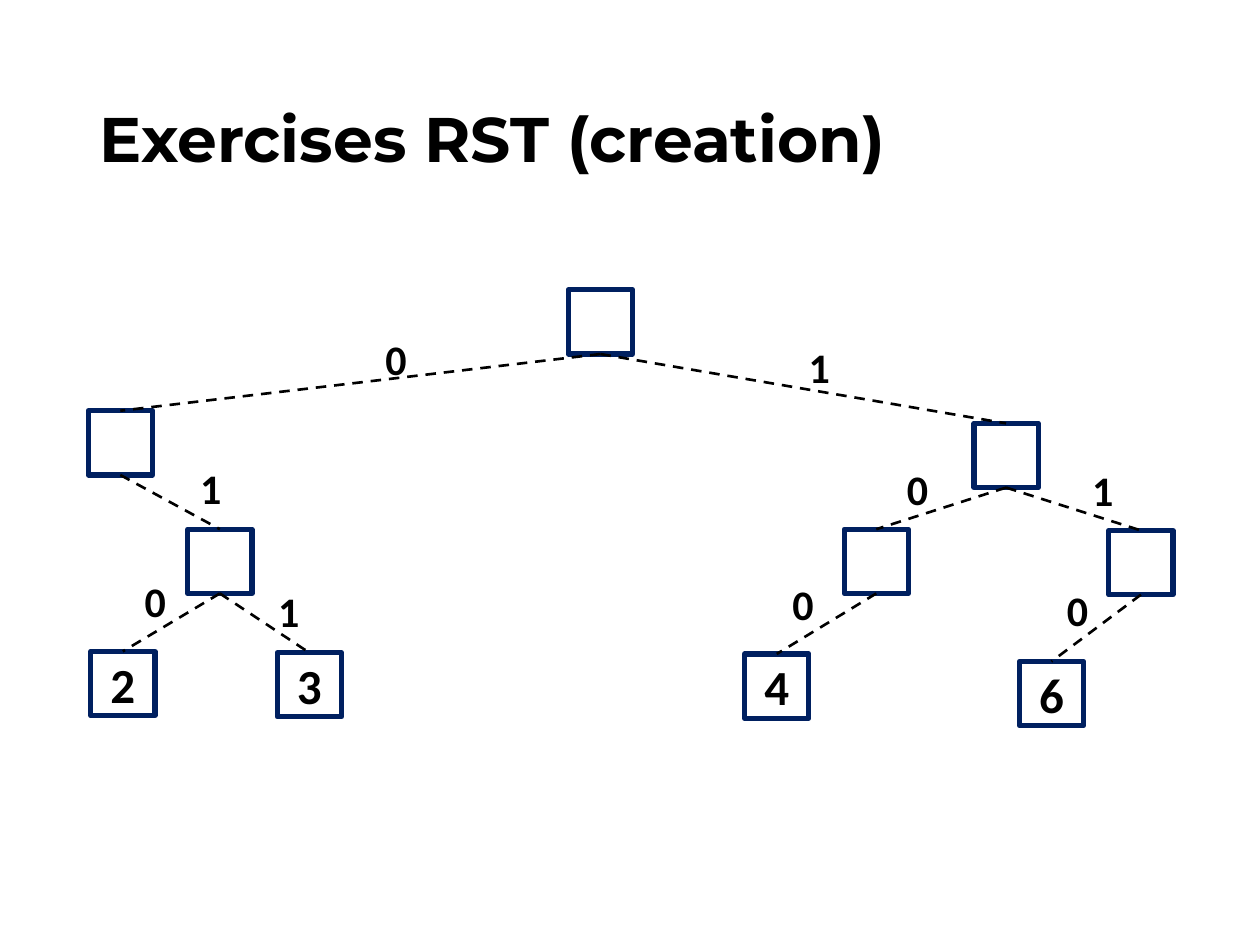
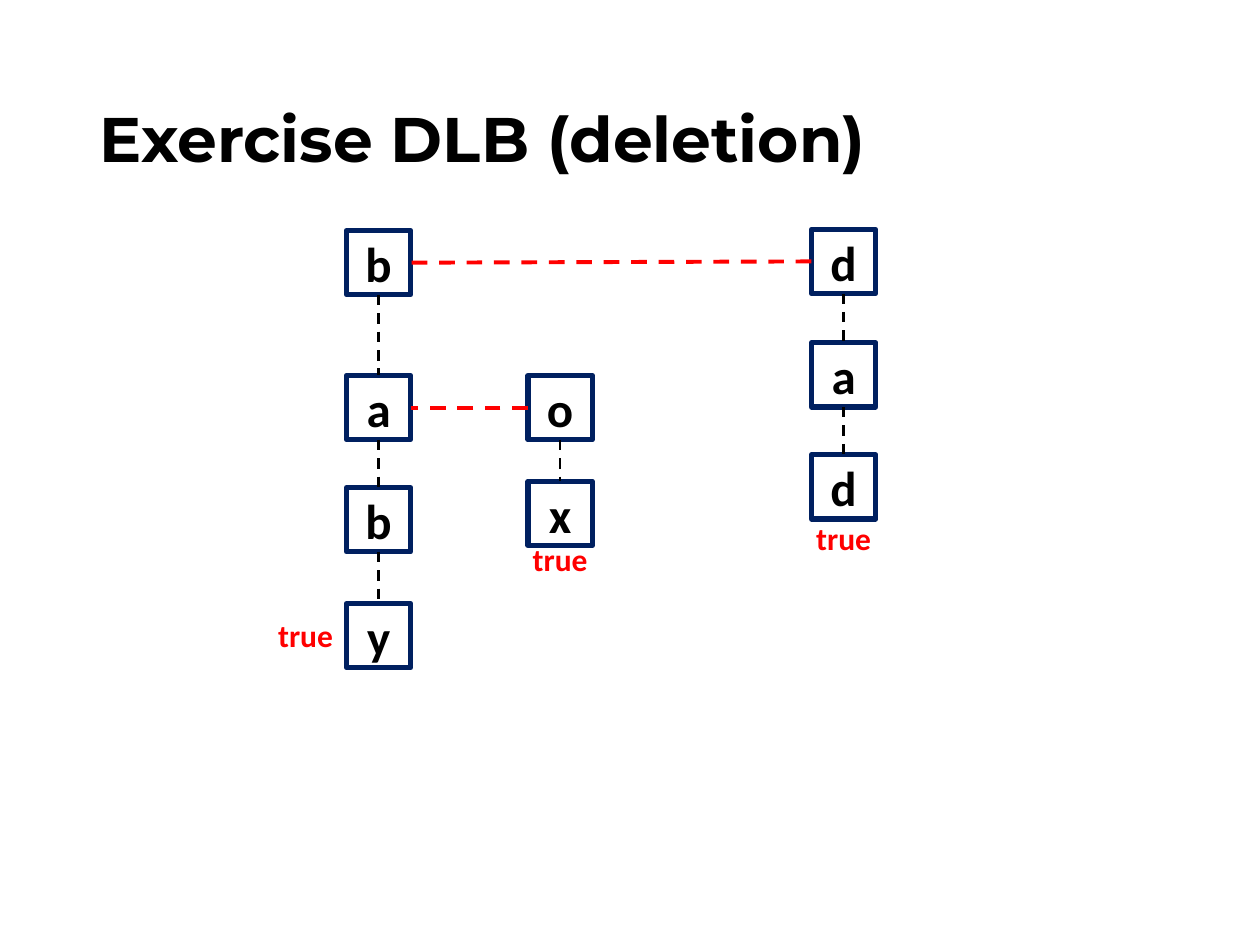
from lxml import etree
from pptx import Presentation
from pptx import util as u
from pptx.dml.color import RGBColor
from pptx.enum import dml, shapes, text
from pptx.oxml.ns import qn


class Theme:
    black = RGBColor(0x00, 0x00, 0x00)
    navy = RGBColor(0x00, 0x20, 0x60)
    red = RGBColor(0xFF, 0x00, 0x00)
    node_size = 0.51
    node_border = u.Pt(3)
    # Text styles: size, typeface, colour
    title = (36, "Montserrat", black)
    key = (28, "Calibri", black)
    bit = (24, "Calibri", black)
    flag = (18, "Calibri", red)
    # Edge styles: colour, width
    child = (black, u.Pt(1.5))
    sibling = (red, u.Pt(2.25))


FRAMES = {
    "title": {"word_wrap": True, "vertical_anchor": text.MSO_ANCHOR.MIDDLE},
    "node": {"word_wrap": True, "vertical_anchor": text.MSO_ANCHOR.MIDDLE},
    "label": {"word_wrap": False, "auto_size": text.MSO_AUTO_SIZE.SHAPE_TO_FIT_TEXT},
}
# Connection sites of a rectangle
TOP, LEFT, BOTTOM, RIGHT = range(4)


def write(shape, words, style, frame, **paragraph_format):
    for name, value in FRAMES[frame].items():
        setattr(shape.text_frame, name, value)
    paragraph = shape.text_frame.paragraphs[0]
    for name, value in paragraph_format.items():
        setattr(paragraph, name, value)
    run = paragraph.add_run()
    run.text = words
    size, typeface, colour = style
    for name, value in {"size": u.Pt(size), "name": typeface, "bold": True}.items():
        setattr(run.font, name, value)
    run.font.color.rgb = colour


def join(slide, start, start_site, end, end_site, style):
    edge = slide.shapes.add_connector(shapes.MSO_CONNECTOR.STRAIGHT, 0, 0, 0, 0)
    edge.begin_connect(start, start_site)
    edge.end_connect(end, end_site)
    edge.line.color.rgb, edge.line.width = style
    edge.line.dash_style = dml.MSO_LINE.DASH
    etree.SubElement(edge._element.spPr, qn("a:effectLst"))


# Radix search tree: nodes are named by their bit prefix, (left, top, key)
radix_tree = {
    "title": "Exercises RST (creation)",
    "nodes": {
        "root": (4.51, 2.3, ""),
        "0": (0.7, 3.26, ""),
        "1": (7.73, 3.36, ""),
        "01": (1.49, 4.2, ""),
        "10": (6.7, 4.2, ""),
        "11": (8.8, 4.21, ""),
        "010": (0.72, 5.17, "2"),
        "011": (2.2, 5.18, "3"),
        "100": (5.91, 5.19, "4"),
        "110": (8.09, 5.25, "6"),
    },
    "children": [("root", "0"), ("root", "1"), ("0", "01"), ("1", "10"), ("1", "11"),
                 ("01", "010"), ("01", "011"), ("10", "100"), ("11", "110")],
    "siblings": [],
    "label_style": Theme.bit,
    "label_size": (0.37, 0.5),
    "labels": [(2.96, 2.6, "0"), (6.32, 2.66, "1"), (1.49, 3.62, "1"),
               (7.1, 3.63, "0"), (8.57, 3.64, "1"), (1.05, 4.52, "0"),
               (2.11, 4.6, "1"), (6.19, 4.54, "0"), (8.37, 4.59, "0")],
}

# De la Briandais trie: nodes are named by the word prefix they end
baby_left, box_left, dad_left = 2.75, 4.19, 6.44
dlb_trie = {
    "title": "Exercise DLB (deletion)",
    "nodes": {
        "b": (baby_left, 1.83, "b"),
        "ba": (baby_left, 2.98, "a"),
        "bab": (baby_left, 3.87, "b"),
        "baby": (baby_left, 4.79, "y"),
        "bo": (box_left, 2.98, "o"),
        "box": (box_left, 3.82, "x"),
        "d": (dad_left, 1.82, "d"),
        "da": (dad_left, 2.72, "a"),
        "dad": (dad_left, 3.61, "d"),
    },
    "children": [("b", "ba"), ("ba", "bab"), ("bab", "baby"), ("bo", "box"),
                 ("d", "da"), ("da", "dad")],
    "siblings": [("b", "d"), ("ba", "bo")],
    "label_style": Theme.flag,
    "label_size": (0.64, 0.4),
    "labels": [(box_left - 0.06, 4.24, "true"), (baby_left - 0.64, 4.84, "true"),
               (dad_left - 0.06, 4.07, "true")],
}

deck = Presentation()
deck.slide_width, deck.slide_height = u.Inches(10), u.Inches(7.5)

for tree in (radix_tree, dlb_trie):
    slide = deck.slides.add_slide(deck.slide_layouts[6])

    # Title
    heading = slide.shapes.add_textbox(*map(u.Inches, (0.69, 0.4, 8.62, 1.45)))
    write(heading, tree["title"], Theme.title, "title", line_spacing=0.9)

    # Nodes
    nodes = {}
    for prefix, (left, top, key) in tree["nodes"].items():
        node = slide.shapes.add_shape(
            shapes.MSO_SHAPE.RECTANGLE,
            *map(u.Inches, (left, top, Theme.node_size, Theme.node_size)))
        node.shadow.inherit = False
        node.fill.background()
        node.line.color.rgb, node.line.width = Theme.navy, Theme.node_border
        if key:
            write(node, key, Theme.key, "node", alignment=text.PP_ALIGN.CENTER)
        nodes[prefix] = node

    # Edges down to children and across to siblings
    for parent, child in tree["children"]:
        join(slide, nodes[parent], BOTTOM, nodes[child], TOP, Theme.child)
    for first, following in tree["siblings"]:
        join(slide, nodes[following], LEFT, nodes[first], RIGHT, Theme.sibling)

    # Bits on the edges, or flags at the ends of words
    for left, top, words in tree["labels"]:
        label = slide.shapes.add_textbox(
            *map(u.Inches, (left, top, *tree["label_size"])))
        write(label, words, tree["label_style"], "label")

deck.save("out.pptx")
